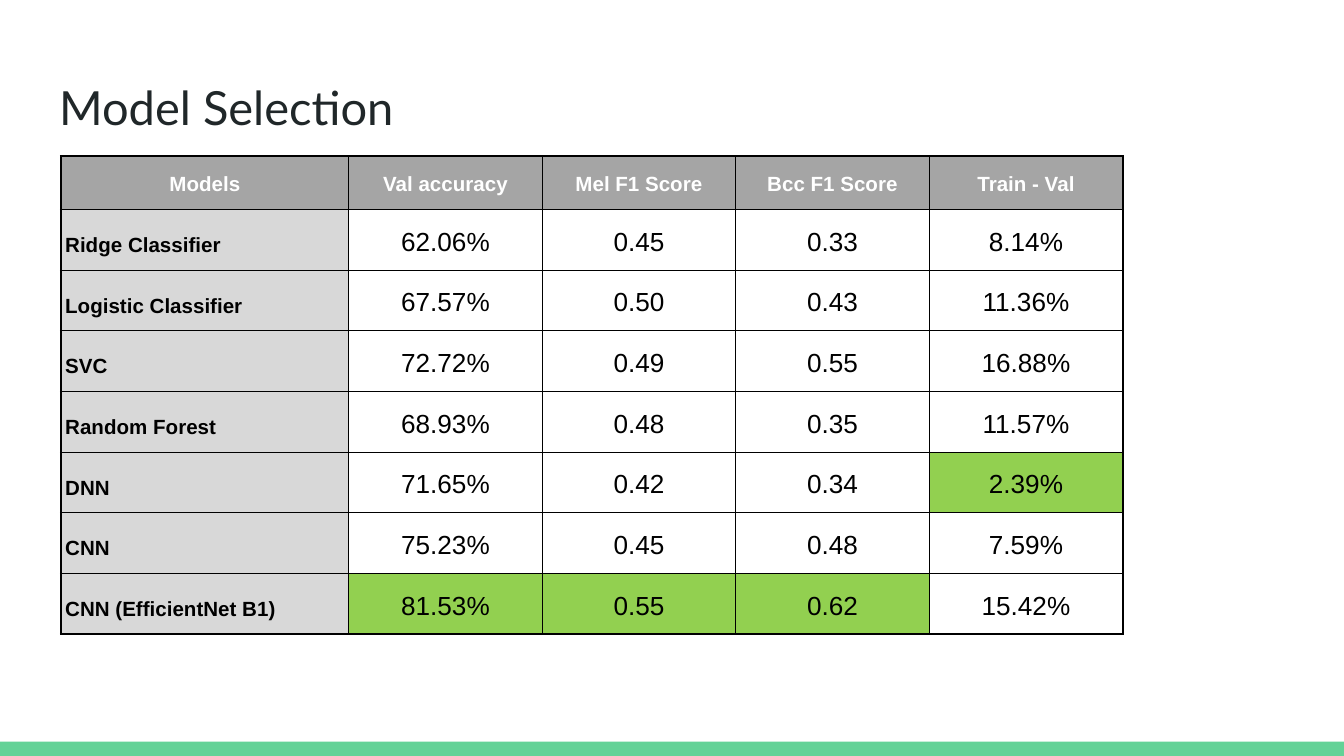
import lxml.etree
import pptx
import pptx.dml.color
import pptx.enum.shapes
import pptx.enum.text
import pptx.oxml.ns
import pptx.util

WIDTH = pptx.util.Inches(10)
HEIGHT = WIDTH * 9 // 16
COLUMN_PERCENTS = [21.4] + [14.4] * 4
ROW_HEIGHT = pptx.util.Inches(0.33)
THIN, THICK = 0.75, 1.5

COLORS = {
    "title": "202729",
    "band": "63D297",
    "header": "A5A5A5",
    "model": "D8D8D8",
    "best": "92D050",
    "white": "FFFFFF",
    "black": "000000",
}

SCORES = [
    ["Models", "Val accuracy", "Mel F1 Score", "Bcc F1 Score", "Train - Val"],
    ["Ridge Classifier", "62.06%", "0.45", "0.33", "8.14%"],
    ["Logistic Classifier", "67.57%", "0.50", "0.43", "11.36%"],
    ["SVC", "72.72%", "0.49", "0.55", "16.88%"],
    ["Random Forest", "68.93%", "0.48", "0.35", "11.57%"],
    ["DNN", "71.65%", "0.42", "0.34", "2.39%"],
    ["CNN", "75.23%", "0.45", "0.48", "7.59%"],
    ["CNN (EfficientNet B1)", "81.53%", "0.55", "0.62", "15.42%"],
]
BEST_CELLS = {(5, 4), (7, 1), (7, 2), (7, 3)}


def rgb(name):
    return pptx.dml.color.RGBColor.from_string(COLORS[name])


def across(percent):
    return int(WIDTH * percent / 100)


def down(percent):
    return int(HEIGHT * percent / 100)


def style_text(para, font_name, size, color, bold, alignment):
    para.alignment = alignment
    for span in para.runs:
        span.font.name = font_name
        span.font.size = pptx.util.Pt(size)
        span.font.bold = bold
        span.font.color.rgb = rgb(color)


def set_margins(box, horizontal, vertical):
    box.margin_left = box.margin_right = pptx.util.Inches(horizontal)
    box.margin_top = box.margin_bottom = pptx.util.Inches(vertical)


def add_band(page):
    band = page.shapes.add_shape(
        pptx.enum.shapes.MSO_SHAPE.RECTANGLE,
        0, down(98.1), WIDTH, down(1.9))
    band.shadow.inherit = False
    band.fill.solid()
    band.fill.fore_color.rgb = rgb("band")
    band.line.fill.background()


def fill_title(page, text):
    title = page.shapes.title
    title.left, title.top = across(3.4), down(8.66)
    title.width, title.height = across(93.2), down(11.2)
    frame = title.text_frame
    frame.text = text
    frame.auto_size = pptx.enum.text.MSO_AUTO_SIZE.NONE
    frame.vertical_anchor = pptx.enum.text.MSO_ANCHOR.TOP
    set_margins(frame, 0.1, 0.1)
    style_text(frame.paragraphs[0], "Lato", 25.2, "title", False,
               pptx.enum.text.PP_ALIGN.LEFT)


def set_borders(cell, widths):
    properties = cell._tc.get_or_add_tcPr()
    qn = pptx.oxml.ns.qn
    for side, width in widths.items():
        line = lxml.etree.SubElement(properties, qn("a:ln" + side),
                                     w=str(int(pptx.util.Pt(width))))
        fill = lxml.etree.SubElement(line, qn("a:solidFill"))
        lxml.etree.SubElement(fill, qn("a:srgbClr"), val=COLORS["black"])


def format_cell(cell, row, column):
    set_borders(cell, {
        "L": THICK if column == 0 else THIN,
        "R": THICK if column == len(COLUMN_PERCENTS) - 1 else THIN,
        "T": THICK if row == 0 else THIN,
        "B": THICK if row == len(SCORES) - 1 else THIN,
    })
    is_header, is_model = row == 0, column == 0
    if is_header:
        fill = "header"
    elif is_model:
        fill = "model"
    else:
        fill = "best" if (row, column) in BEST_CELLS else None
    if fill:
        cell.fill.solid()
        cell.fill.fore_color.rgb = rgb(fill)
    else:
        cell.fill.background()

    cell.vertical_anchor = pptx.enum.text.MSO_ANCHOR.BOTTOM
    set_margins(cell, 0.03, 0.1)
    is_label = is_header or is_model
    align = pptx.enum.text.PP_ALIGN
    para = cell.text_frame.paragraphs[0]
    para.line_spacing = 1.15
    style_text(para, "Arial", 11 if is_label else 14,
               "white" if is_header else "black", is_label,
               align.LEFT if is_model and not is_header else align.CENTER)


def add_score_table(page):
    frame = page.shapes.add_table(
        len(SCORES), len(COLUMN_PERCENTS), across(4.55), down(20.67),
        across(sum(COLUMN_PERCENTS)), ROW_HEIGHT * len(SCORES))
    table = frame.table
    table.first_row = False
    table.horz_banding = False
    for column, percent in zip(table.columns, COLUMN_PERCENTS):
        column.width = across(percent)
    for row, values in enumerate(SCORES):
        table.rows[row].height = ROW_HEIGHT
        for column, value in enumerate(values):
            cell = table.cell(row, column)
            cell.text_frame.text = value
            format_cell(cell, row, column)


def main():
    deck = pptx.Presentation()
    deck.slide_width, deck.slide_height = WIDTH, HEIGHT
    page = deck.slides.add_slide(deck.slide_layouts[5])
    add_band(page)
    fill_title(page, "Model Selection")
    add_score_table(page)
    deck.save("out.pptx")


if __name__ == "__main__":
    main()
